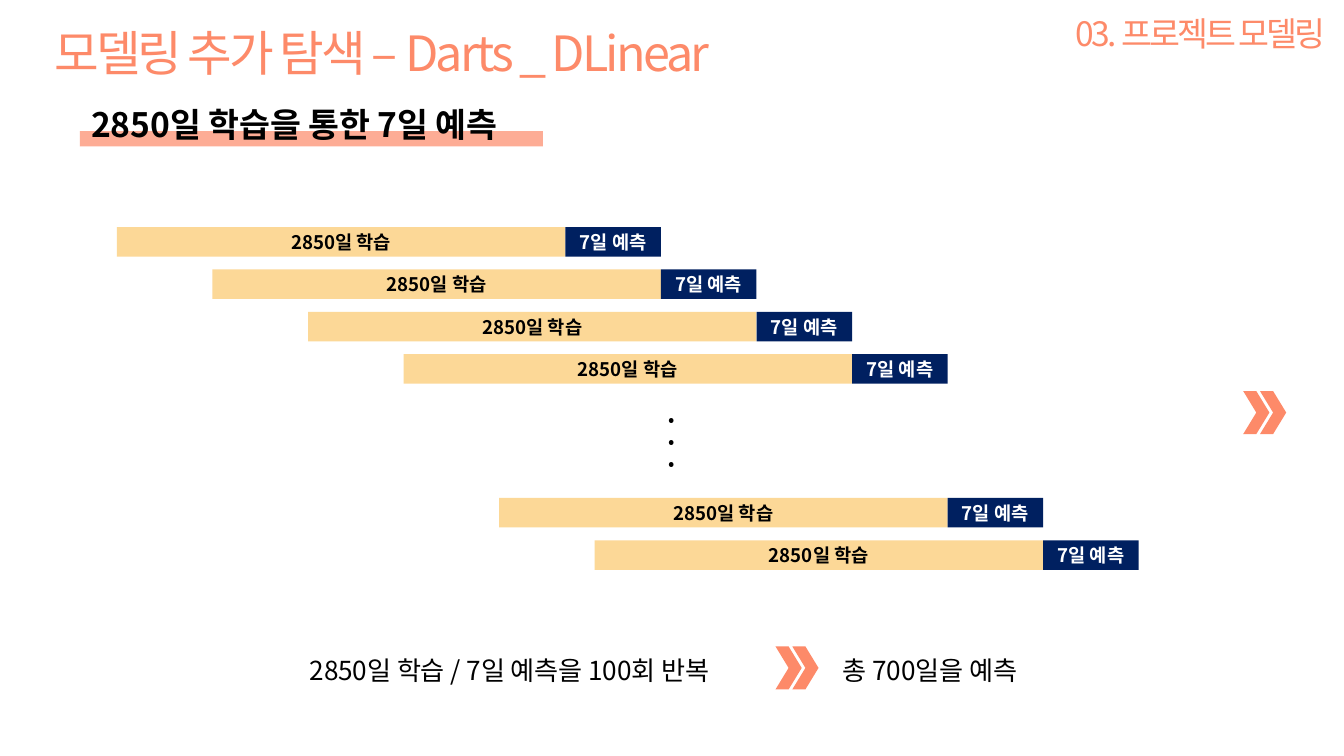
from lxml import etree
from pptx import Presentation
from pptx.dml.color import RGBColor
from pptx.enum.shapes import MSO_SHAPE
from pptx.enum.text import MSO_ANCHOR, MSO_AUTO_SIZE, PP_ALIGN
from pptx.oxml.ns import qn
from pptx.util import Inches, Pt

RECT, CHEVRON = MSO_SHAPE.RECTANGLE, MSO_SHAPE.CHEVRON
LEFT, CENTER, RIGHT = PP_ALIGN.LEFT, PP_ALIGN.CENTER, PP_ALIGN.RIGHT
TOP, MIDDLE = MSO_ANCHOR.TOP, MSO_ANCHOR.MIDDLE
CORAL = RGBColor(0xFD, 0x8A, 0x69)
AMBER = RGBColor(0xFB, 0xC8, 0x6B)
NAVY = RGBColor(0x00, 0x20, 0x60)
BLACK = RGBColor(0x00, 0x00, 0x00)
WHITE = RGBColor(0xFF, 0xFF, 0xFF)
FONT = "Noto Sans CJK KR"

deck = Presentation()
deck.slide_width, deck.slide_height = Inches(20), Inches(11.25)
COL, ROW = deck.slide_width / 100, deck.slide_height / 100  # one percent
slide = deck.slides.add_slide(deck.slide_layouts[5])


def draw(kind, x, y, w, h, color, alpha=None):
    """Add a filled shape, placed in percent of the slide."""
    shape = slide.shapes.add_shape(
        kind, int(x * COL), int(y * ROW), int(w * COL), int(h * ROW))
    shape.shadow.inherit = False
    shape.line.fill.background()
    shape.fill.solid()
    shape.fill.fore_color.rgb = color
    if alpha:
        tint = shape.fill._xPr.find(".//" + qn("a:srgbClr"))
        etree.SubElement(tint, qn("a:alpha"), val=str(alpha * 1000))
    return shape


def write(shape, lines, size, color, align=LEFT, anchor=TOP, bold=False,
          gap=0, wrap=True):
    """Fill a shape with one run per paragraph; gap is letter spacing."""
    frame = shape.text_frame
    frame.word_wrap, frame.vertical_anchor = wrap, anchor
    frame.auto_size = MSO_AUTO_SIZE.NONE
    for i, line in enumerate(lines):
        para = frame.add_paragraph() if i else frame.paragraphs[0]
        para.alignment = align
        run = para.add_run()
        run.text = line
        run.font.name, run.font.size = FONT, Pt(size)
        run.font.bold, run.font.color.rgb = bold, color
        props = run.font._element
        etree.SubElement(props, qn("a:ea"), typeface=FONT)
        if gap:
            props.set("spc", str(int(gap * 100)))
    return frame


# Title
title = slide.shapes.title
title.left, title.top = int(3.55 * COL), int(2.58 * ROW)
title.width, title.height = int(61.05 * COL), int(8.71 * ROW)
write(title, ["모델링 추가 탐색 – Darts _ DLinear"], 52, CORAL,
      anchor=MIDDLE, gap=-3)

# Underline behind the subtitle
draw(RECT, 5.95, 17.33, 34.45, 2.04, CORAL, 70)

# Text boxes: section, subtitle, dots, summary
boxes = [slide.shapes.add_textbox(int(x * COL), int(y * ROW),
                                  int(w * COL), int(h * ROW))
         for x, y, w, h in [(70, 1.24, 29.15, 6.31), (6.3, 13.33, 34.1, 17.07),
                            (47.7, 53.16, 4.6, 9.87),
                            (21.45, 86.13, 57.1, 5.07)]]
section, subhead, dots, total = boxes
write(section, ["03. 프로젝트 모델링"], 36, CORAL, RIGHT, MIDDLE, gap=-3)
write(subhead, ["2850일 학습을 통한 7일 예측"], 36, BLACK, bold=True, gap=-0.1)

frame = write(dots, ["•"] * 3, 20, BLACK, CENTER)
frame.margin_top = int(0.8 * ROW)
for para in frame.paragraphs:
    para.line_spacing = Pt(23.6)

# Summary, with a tab stop that leaves room for the arrow
frame = write(total, ["2850일 학습 / 7일 예측을 100회 반복\t총 700일을 예측"],
              28, BLACK, gap=-0.1)
frame.margin_left = int(1.6 * COL)
tabs = etree.SubElement(frame.paragraphs[0]._p.get_or_add_pPr(), qn("a:tabLst"))
etree.SubElement(tabs, qn("a:tab"), pos=str(int(39.65 * COL)), algn="l")

# Sliding windows: each starts one forecast later than the last
TRAIN, STEP, TALL = 33.37, 7.11, 3.91
tops = [30.04 + 5.6 * i for i in range(4)] + [65.87 + 5.6 * i for i in range(2)]
for i, y in enumerate(tops):
    x = 8.7 + STEP * i
    train = draw(RECT, x, y, TRAIN, TALL, AMBER, 70)
    write(train, ["2850일 학습"], 20, BLACK, CENTER, MIDDLE, True)
    test = draw(RECT, x + TRAIN, y, STEP, TALL, NAVY)
    write(test, ["7일 예측"], 20, WHITE, CENTER, MIDDLE, True, wrap=False)

# Double arrows
for x, y in [(57.7, 85.51), (92.5, 51.73)]:
    for shift in (0, 1.25):
        draw(CHEVRON, x + shift, y, 1.95, 5.69, CORAL)

deck.save("out.pptx")
